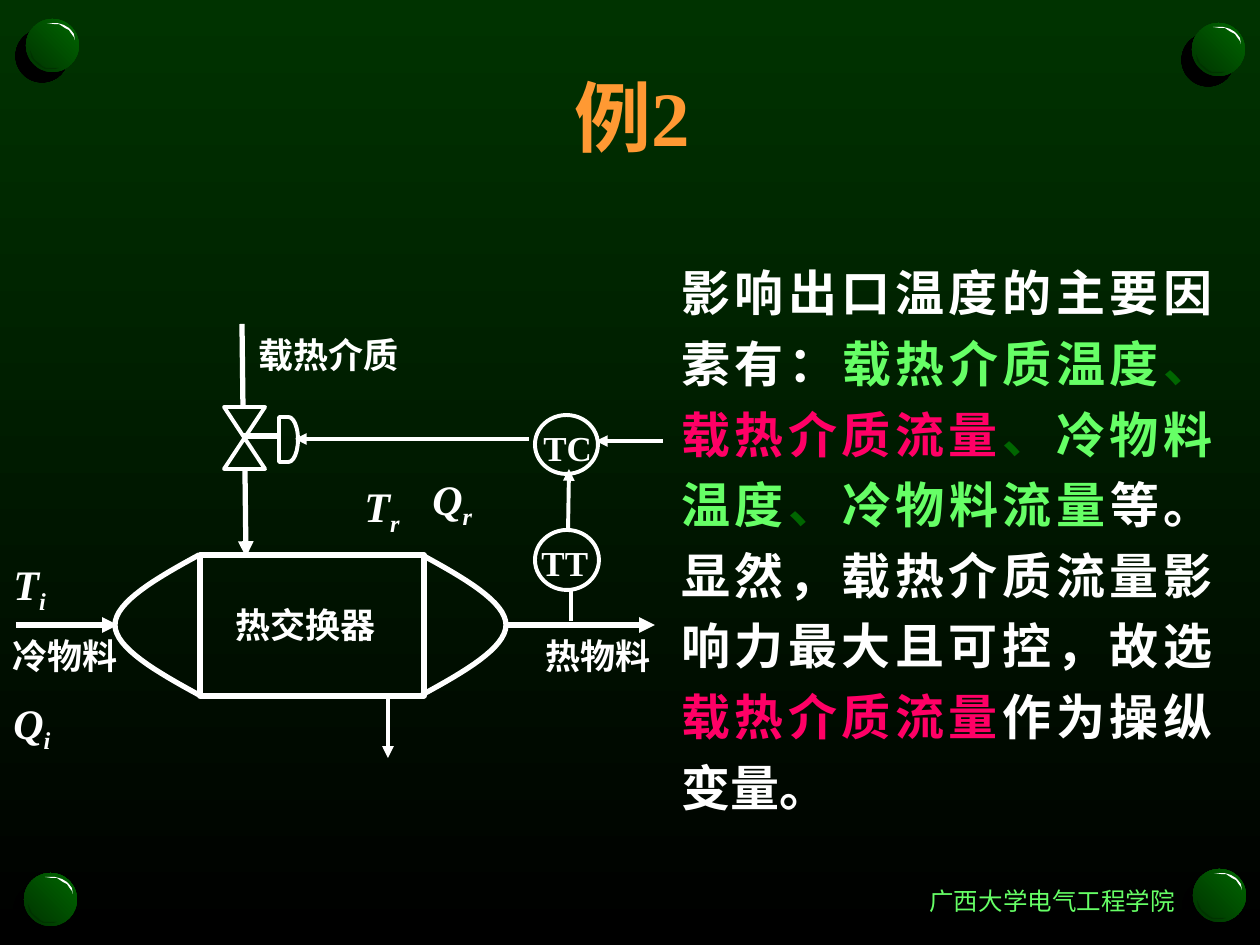
import pptx
import pptx.dml.color
import pptx.enum.shapes
import pptx.enum.text
import pptx.oxml.ns
import pptx.util
from lxml import etree

PX_PER_INCH = 126
SERIF = "Times New Roman"
SANS = "Roboto Condensed"
COLORS = {
    "white": "FFFFFF",
    "black": "000000",
    "title": "FF9933",
    "factor": "66FF66",
    "comma": "006600",
    "chosen": "FF0066",
    "dark": "003300",
    "ball": "006600",
}
ALIGN = pptx.enum.text.PP_ALIGN
SHAPE = pptx.enum.shapes.MSO_SHAPE

# Crescents are given from the top left corner of a ball.
BALL_SIZE = 53
BALLS = [(26, 19), (1192, 23), (1193, 869), (24, 873)]
HIGHLIGHT = [(21, 4), (31, 4), (35, 5), (38, 6), (43, 9), (45, 11), (48, 15),
             (49, 21), (48, 18), (45, 14), (43, 11), (39, 9), (33, 5), (28, 5)]
SHADE = [(33, 49), (25, 49), (20, 49), (16, 47), (13, 44), (10, 42), (8, 40), (4, 31),
         (5, 38), (8, 42), (10, 44), (15, 48), (19, 50), (24, 50), (29, 50)]

EXPLANATION = [
    ("影响出口温度的主要因素有：", "white"),
    ("载热介质温度", "factor"),
    ("、", "comma"),
    ("载热介质流量", "chosen"),
    ("、", "comma"),
    ("冷物料温度", "factor"),
    ("、", "comma"),
    ("冷物料流量", "factor"),
    ("等。显然，载热介质流量影响力最大且可控，故选", "white"),
    ("载热介质流量", "chosen"),
    ("作为操纵变量。", "white"),
]

# Start, end, width in points, arrow at the end
PIPES = [
    ((507, 625), (655, 625), 3, True),
    ((16, 625), (118, 625), 3, True),
    ((245, 469), (246, 557), 3, True),
    ((388, 695), (388, 758), 2.25, True),
    ((242, 324), (243, 407), 3, False),
    ((242, 436), (280, 436), 3, False),
]
SIGNALS = [
    ((529, 439), (295, 439), 2.25, True),
    ((568, 532), (569, 469), 2.25, True),
    ((571, 591), (571, 621), 2.25, False),
    ((663, 441), (596, 441), 2.25, True),
]
EQUIPMENT = [
    (SHAPE.FLOWCHART_COLLATE, (224, 407, 41, 62), 2.25),
    (SHAPE.FLOWCHART_DELAY, (279, 417, 19, 45), 2.25),
    (SHAPE.RECTANGLE, (200, 555, 224, 141), 3),
    (SHAPE.OVAL, (535, 530, 64, 60), 2.25),
    (SHAPE.OVAL, (535, 415, 63, 59), 2.25),
]
LABELS = [
    ("热物料", (533, 628, 155, 60)),
    ("载热介质", (246, 327, 183, 60)),
    ("冷物料", (0, 628, 149, 60)),
    ("热交换器", (223, 597, 184, 55)),
    ("TT", (529, 535, 84, 53)),
    ("TC", (531, 420, 84, 52)),
]
# Symbol, subscript, left, top
VARIABLES = [
    ("Q", "r", 420, 467),
    ("Q", "i", 1, 691),
    ("T", "i", 1, 552),
    ("T", "r", 352, 474),
]
VARIABLE_SIZE = (84, 71)


def px(value):
    return pptx.util.Inches(value / PX_PER_INCH)


def color(name):
    return pptx.dml.color.RGBColor.from_string(COLORS[name])


def add_xml(parent, tag, **attributes):
    return etree.SubElement(parent, pptx.oxml.ns.qn(tag), attributes)


def fill_gradient(fill, names, angle):
    fill.gradient()
    fill.gradient_angle = angle
    for stop, name in zip(fill.gradient_stops, names):
        stop.color.rgb = color(name)


def draw_line(line, width):
    line.color.rgb = color("white")
    line.width = pptx.util.Pt(width)


def style_font(font, size, name, bold=True, family=SERIF):
    font.size = pptx.util.Pt(size)
    font.name = family
    font.bold = bold
    font.color.rgb = color(name)


def add_outline(slide, points, close=True):
    corners = [(px(x), px(y)) for x, y in points]
    builder = slide.shapes.build_freeform(*corners[0], scale=1.0)
    builder.add_line_segments(corners[1:], close=close)
    shape = builder.convert_to_shape()
    shape.shadow.inherit = False
    return shape


def add_ball(slide, left, top):
    ball = slide.shapes.add_shape(SHAPE.OVAL, *map(px, (left, top, BALL_SIZE, BALL_SIZE)))
    fill_gradient(ball.fill, ("dark", "ball"), 45)
    ball.line.fill.background()
    ball.shadow.inherit = False
    effects = ball._element.spPr.find(pptx.oxml.ns.qn("a:effectLst"))
    shadow = add_xml(effects, "a:outerShdw", blurRad="0", dist=str(pptx.util.Pt(8.5)),
                     dir=str(135 * 60000), algn="ctr", rotWithShape="0")
    add_xml(shadow, "a:srgbClr", val=COLORS["black"])
    for crescent, name in ((HIGHLIGHT, "white"), (SHADE, "dark")):
        shape = add_outline(slide, [(left + x, top + y) for x, y in crescent])
        shape.fill.solid()
        shape.fill.fore_color.rgb = color(name)
        shape.line.fill.background()


def add_text(slide, box, runs, wrap=True, align=ALIGN.LEFT):
    """Add a one-paragraph text box and return its paragraph."""
    frame = slide.shapes.add_textbox(*map(px, box)).text_frame
    frame.word_wrap = wrap
    paragraph = frame.paragraphs[0]
    paragraph.alignment = align
    for text in runs:
        paragraph.add_run().text = text
    return paragraph


def add_line(slide, start, end, width, arrow):
    connector = slide.shapes.add_connector(
        pptx.enum.shapes.MSO_CONNECTOR.STRAIGHT, *map(px, start + end))
    draw_line(connector.line, width)
    properties = connector._element.spPr
    if arrow:
        add_xml(properties.get_or_add_ln(), "a:tailEnd", type="triangle")
    add_xml(properties, "a:effectLst")


def add_equipment(slide, kind, box, width):
    shape = slide.shapes.add_shape(kind, *map(px, box))
    shape.fill.background()
    draw_line(shape.line, width)
    shape.shadow.inherit = False


def add_exchanger_end(slide, base, direction):
    """Draw a rounded end as two mirrored Bezier halves."""
    steps = 16
    upper = []
    for step in range(steps + 1):
        t = step / steps
        weights = ((1 - t) ** 3, 3 * t * (1 - t) ** 2, 3 * t * t * (1 - t), t ** 3)
        upper.append((base + direction * sum(w * x for w, x in zip(weights, (0, 42, 84, 84))),
                      sum(w * y for w, y in zip(weights, (555, 578, 602, 625)))))
    lower = [(x, 1250 - y) for x, y in reversed(upper[:-1])]
    shape = add_outline(slide, upper + lower, close=False)
    shape.fill.background()
    draw_line(shape.line, 3)


def add_variable(slide, symbol, subscript, left, top):
    paragraph = add_text(slide, (left, top, *VARIABLE_SIZE), (symbol, subscript))
    style_font(paragraph.font, 24, "white")
    paragraph.font.italic = True
    paragraph.runs[1].font._element.set("baseline", "-25000")


def add_title(slide, text):
    title = slide.shapes.title
    title.left, title.top, title.width, title.height = map(px, (26, 32, 1213, 168))
    title.text_frame.text = text
    paragraph = title.text_frame.paragraphs[0]
    paragraph.alignment = ALIGN.CENTER
    style_font(paragraph.font, 44, "title")


def add_explanation(slide):
    paragraph = add_text(slide, (669, 245, 556, 577), [text for text, _ in EXPLANATION],
                         align=ALIGN.JUSTIFY)
    paragraph.line_spacing = 1.2
    style_font(paragraph.font, 28, "white")
    for run, (_, name) in zip(paragraph.runs, EXPLANATION):
        run.font.color.rgb = color(name)


def main():
    presentation = pptx.Presentation()
    presentation.slide_width, presentation.slide_height = px(1260), px(945)
    slide = presentation.slides.add_slide(presentation.slide_layouts[5])
    fill_gradient(slide.background.fill, ("dark", "black"), 270)

    for left, top in BALLS:
        add_ball(slide, left, top)
    school = add_text(slide, (917, 880, 271, 43), ["广西大学电气工程学院"], wrap=False)
    style_font(school.font, 14, "factor", bold=False, family=SANS)
    add_title(slide, "例2")
    add_explanation(slide)

    for line in PIPES + SIGNALS:
        add_line(slide, *line)
    for item in EQUIPMENT:
        add_equipment(slide, *item)
    add_exchanger_end(slide, 199, -1)
    add_exchanger_end(slide, 422, 1)
    for text, box in LABELS:
        style_font(add_text(slide, box, [text], align=ALIGN.JUSTIFY).font, 20, "white")
    for variable in VARIABLES:
        add_variable(slide, *variable)
    presentation.save("out.pptx")


if __name__ == "__main__":
    main()
